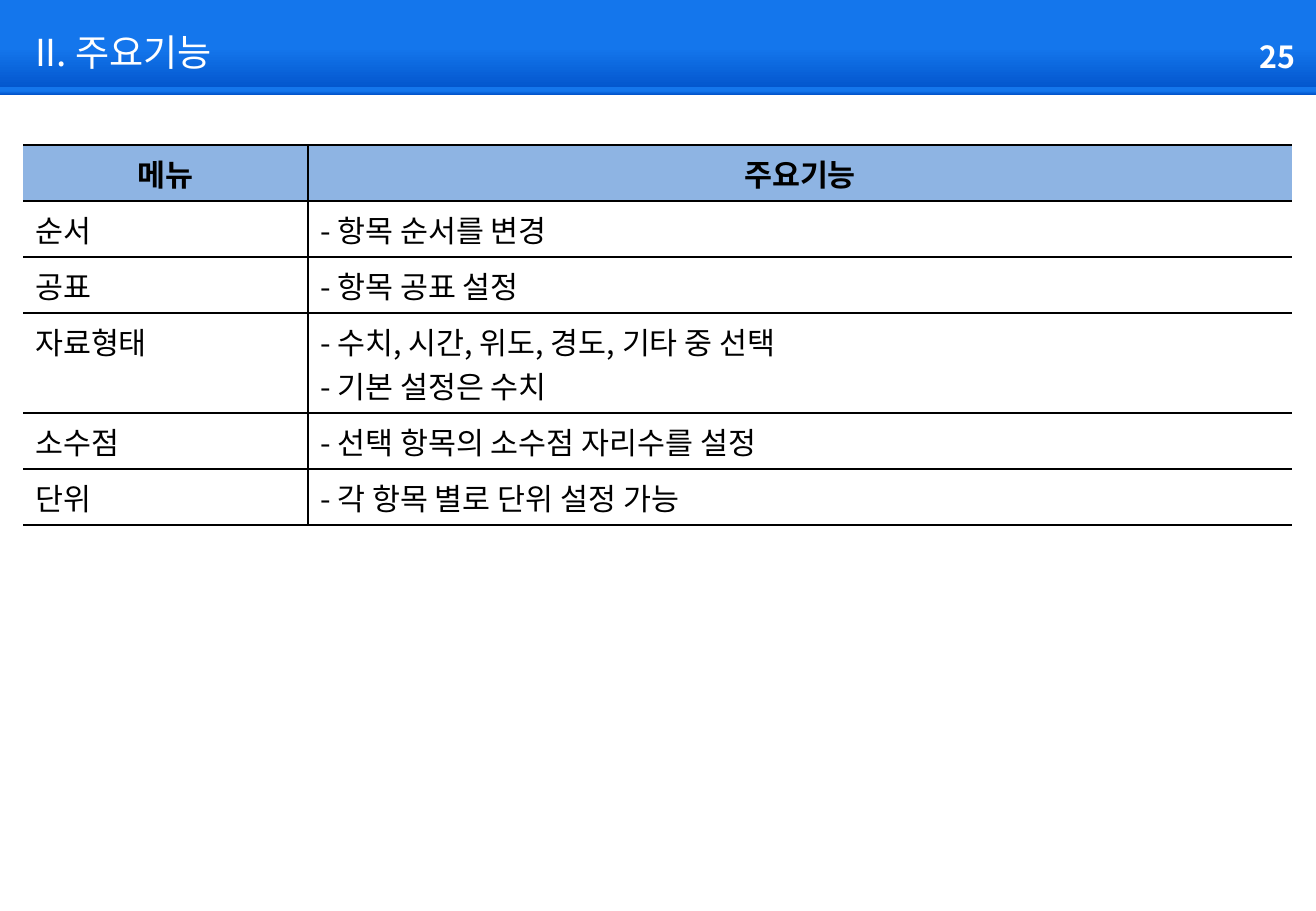
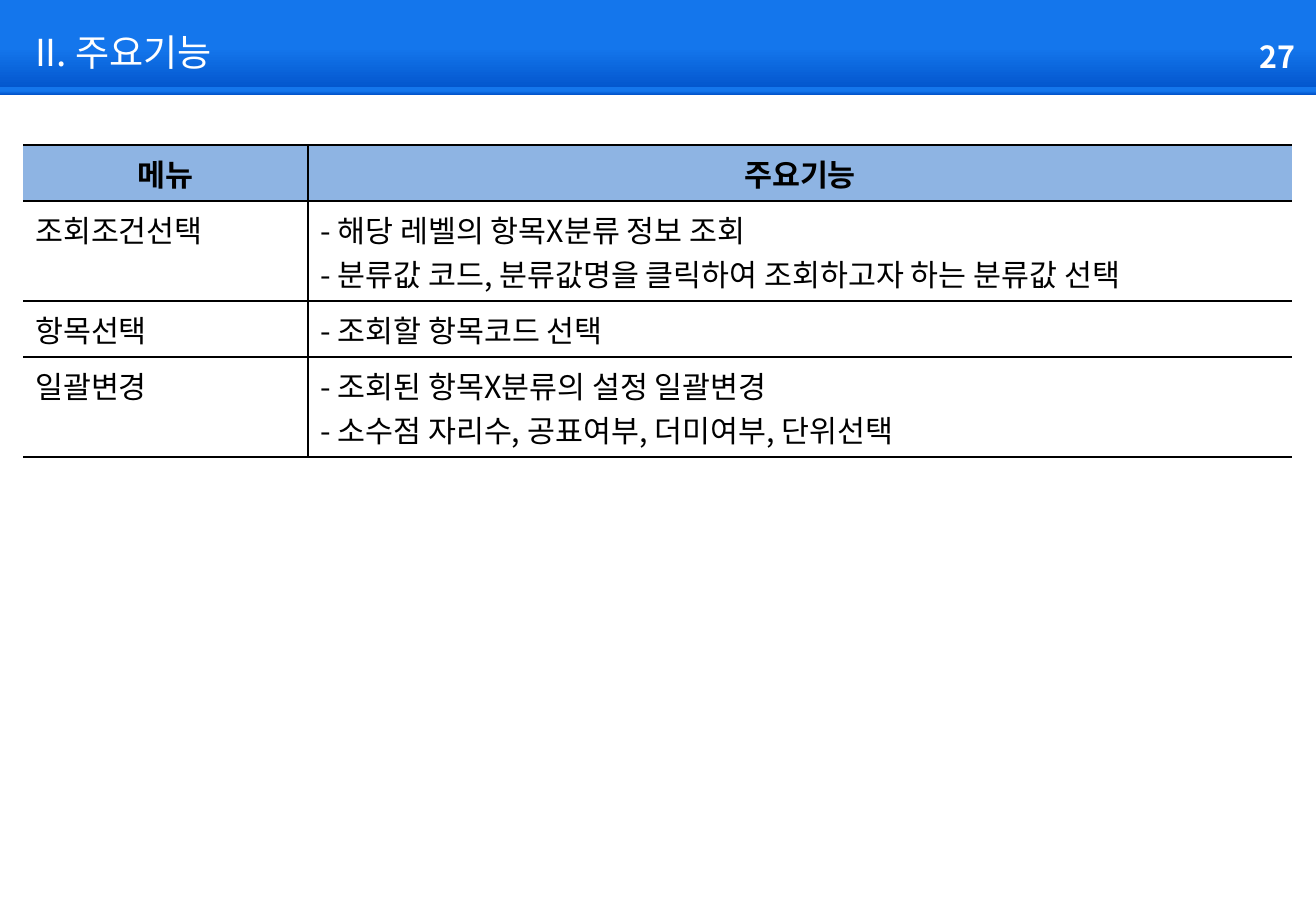
from copy import deepcopy

from lxml import etree
from pptx import Presentation
from pptx.dml.color import RGBColor
from pptx.enum.shapes import MSO_SHAPE
from pptx.enum.text import MSO_ANCHOR, MSO_AUTO_SIZE, PP_ALIGN
from pptx.oxml.ns import qn
from pptx.util import Emu, Pt

RECT = MSO_SHAPE.RECTANGLE
MIDDLE, TOP = MSO_ANCHOR.MIDDLE, MSO_ANCHOR.TOP
NO_AUTOFIT = MSO_AUTO_SIZE.NONE
LEFT, CENTER, RIGHT = PP_ALIGN.LEFT, PP_ALIGN.CENTER, PP_ALIGN.RIGHT

FONT = "Noto Sans CJK KR"
COLORS = {"band": "1476EC", "band_dark": "0051C8", "header": "8EB4E3",
          "white": "FFFFFF", "black": "000000"}
SLIDE_W, SLIDE_H = 1316, 911
BAND_BOXES = [(0, 0, 1319, 95), (0, 87, 1319, 8)]
TITLE_BOX = (23, 23, 784, 58)
NUMBER_BOX = (1232, 32, 75, 49)
TABLE_BOX = (23, 145, 1269)
MENU_W = 285
LINE_H, CELL_PAD = 44, 12

TITLE = "II. 주요기능"
HEADER = ("메뉴", ["주요기능"])
PAGES = [
    (25, [
        ("순서", ["- 항목 순서를 변경"]),
        ("공표", ["- 항목 공표 설정"]),
        ("자료형태", ["- 수치, 시간, 위도, 경도, 기타 중 선택",
                  "- 기본 설정은 수치"]),
        ("소수점", ["- 선택 항목의 소수점 자리수를 설정"]),
        ("단위", ["- 각 항목 별로 단위 설정 가능"]),
    ]),
    (27, [
        ("조회조건선택", ["- 해당 레벨의 항목X분류 정보 조회",
                    "- 분류값 코드, 분류값명을 클릭하여 조회하고자 하는 분류값 선택"]),
        ("항목선택", ["- 조회할 항목코드 선택"]),
        ("일괄변경", ["- 조회된 항목X분류의 설정 일괄변경",
                  "- 소수점 자리수, 공표여부, 더미여부, 단위선택"]),
    ]),
]


def px(n):
    return Emu(round(n * 914400 / 121.5))


def rgb(name):
    return RGBColor.from_string(COLORS[name])


def set_text(tf, text, size, color, bold=False, align=LEFT):
    tf.text = text
    for p in tf.paragraphs:
        p.alignment = align
        for r in p.runs:
            r.font.name, r.font.size, r.font.bold = FONT, Pt(size), bold
            r.font.color.rgb = rgb(color)
            ea = etree.SubElement(r.font._element, qn("a:ea"))
            ea.set("typeface", FONT)


def add_band(s, box):
    sp = s.shapes.add_shape(RECT, *map(px, box))
    sp.shadow.inherit = False
    sp.line.fill.background()
    sp.fill.gradient()
    sp.fill.gradient_angle = 270
    first, last = sp.fill.gradient_stops
    first.color.rgb, first.position = rgb("band"), 0
    last.color.rgb, last.position = rgb("band_dark"), 1
    # The light blue holds until halfway down
    stops = sp.element.find(".//" + qn("a:gsLst"))
    stops.insert(1, deepcopy(stops[0]))
    stops[1].set("pos", "50000")
    return sp


def style_layout(layout, s):
    """Put the header bands and the title position on the shared layout."""
    for ph in list(layout.placeholders):
        if ph.placeholder_format.idx:
            ph.element.getparent().remove(ph.element)
    title = layout.placeholders[0]
    title.left, title.top, title.width, title.height = map(px, TITLE_BOX)
    tree = title.element.getparent()
    for box in BAND_BOXES:
        title.element.addprevious(add_band(s, box).element)
    assert len(tree) >= len(BAND_BOXES)


def add_heading(s, number):
    # Title
    tf = s.shapes.title.text_frame
    tf.auto_size, tf.vertical_anchor = NO_AUTOFIT, MIDDLE
    set_text(tf, TITLE, 22, "white")
    # Page number
    tf = s.shapes.add_textbox(*map(px, NUMBER_BOX)).text_frame
    tf.word_wrap = True
    set_text(tf, str(number), 18, "white", True, RIGHT)


def set_borders(cell, visible):
    tc_pr = cell._tc.get_or_add_tcPr()
    for side in "LRTB":
        ln = etree.SubElement(tc_pr, qn("a:ln" + side), w=str(Pt(1)))
        if side in visible:
            fill = etree.SubElement(ln, qn("a:solidFill"))
            etree.SubElement(fill, qn("a:srgbClr"), val=COLORS["black"])
        else:
            etree.SubElement(ln, qn("a:noFill"))


def add_menu_table(s, box, rows):
    x, y, w = box
    rows = [HEADER] + rows
    heights = [LINE_H * len(lines) + CELL_PAD for _, lines in rows]
    table = s.shapes.add_table(len(rows), 2, px(x), px(y), px(w),
                               px(sum(heights))).table
    table.horz_banding = False
    for col, width in zip(table.columns, (MENU_W, w - MENU_W)):
        col.width = px(width)
    for i, (menu, lines) in enumerate(rows):
        table.rows[i].height = px(heights[i])
        is_header = i == 0
        for j, text in enumerate((menu, "\n".join(lines))):
            cell = table.cell(i, j)
            cell.vertical_anchor = TOP
            set_text(cell.text_frame, text, 18, "black", is_header,
                     CENTER if is_header else LEFT)
            set_borders(cell, "TBL" if j else "TBR")
            if is_header:
                cell.fill.solid()
                cell.fill.fore_color.rgb = rgb("header")
            else:
                cell.fill.background()


def main():
    prs = Presentation()
    prs.slide_width, prs.slide_height = px(SLIDE_W), px(SLIDE_H)
    layout = prs.slide_layouts[5]
    slides = [prs.slides.add_slide(layout) for _ in PAGES]
    style_layout(layout, slides[0])
    for s, (number, rows) in zip(slides, PAGES):
        add_heading(s, number)
        add_menu_table(s, TABLE_BOX, rows)
    prs.save("out.pptx")


if __name__ == "__main__":
    main()
